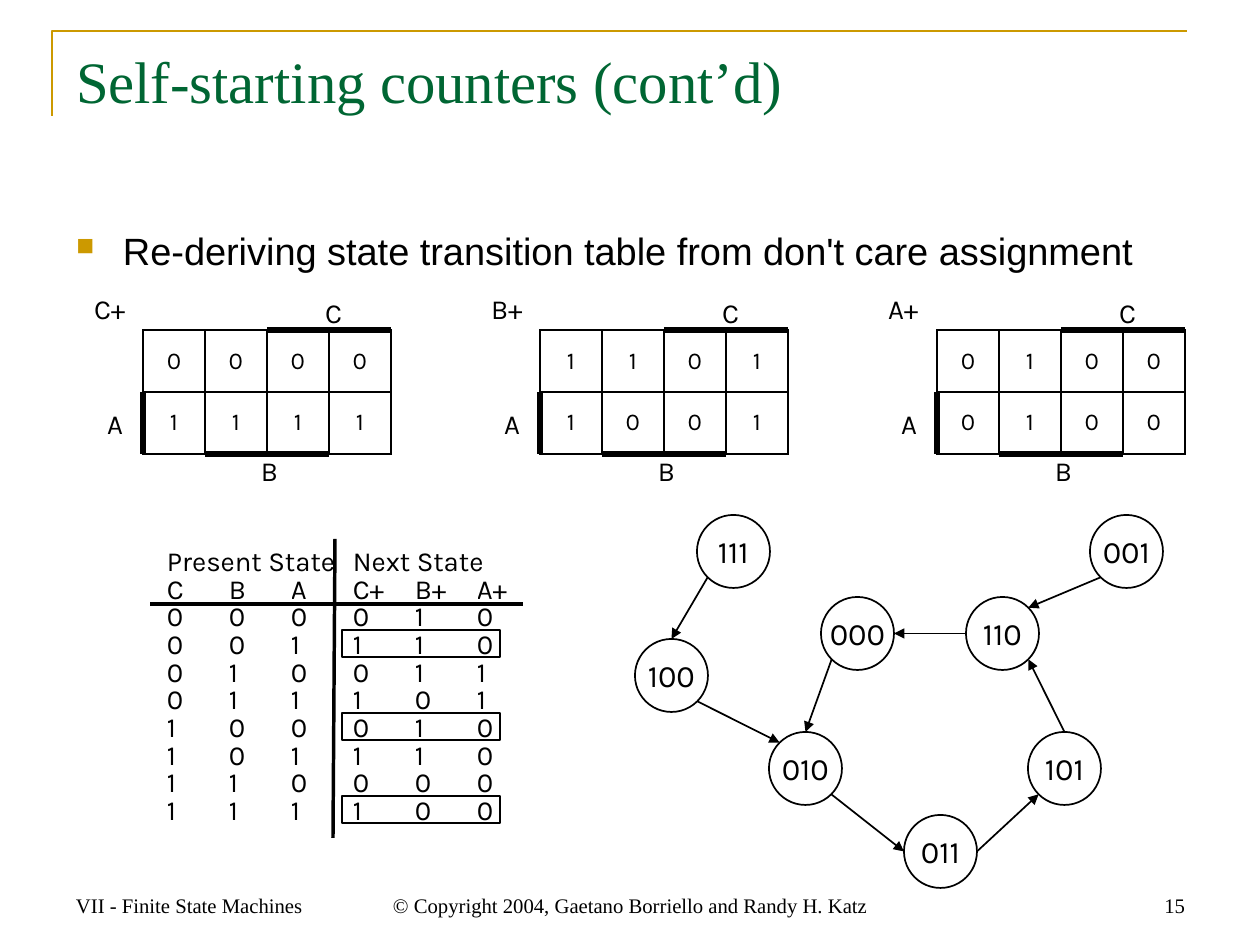
import math

import lxml.etree
import pptx
import pptx.dml.color
import pptx.enum.shapes
import pptx.enum.text
import pptx.oxml.ns
import pptx.util

PX = 7356
BLACK, GOLD, GREEN = "000000", "CC9900", "006633"
SERIF, SANS, BODY = "Times New Roman", "Karla", "Arial"
ALIGN = pptx.enum.text.PP_ALIGN
ANCHOR = pptx.enum.text.MSO_ANCHOR
SHAPE = pptx.enum.shapes.MSO_SHAPE

CELL = 62
MAP_TOP = 330
MAPS = [
    (143, "C+", ["0000", "1111"]),
    (540, "B+", ["1101", "1001"]),
    (937, "A+", ["0100", "0100"]),
]
HEADINGS = [
    ["Present State", "", "", "Next State", "", ""],
    ["C", "B", "A", "C+", "B+", "A+"],
]
TRANSITIONS = [
    "000010", "001110", "010011", "011101",
    "100010", "101110", "110000", "111100",
]
DIAMETER = 73
STATES = {
    "010": (769, 732), "000": (821, 597), "110": (966, 597), "101": (1028, 732),
    "011": (904, 815), "001": (1090, 515), "111": (697, 515), "100": (635, 639),
}
TOP, TOP_LEFT, LEFT, BOTTOM_LEFT, BOTTOM, BOTTOM_RIGHT, RIGHT, TOP_RIGHT = range(8)
ARROWS = [
    ("000", BOTTOM_LEFT, "010", TOP),
    ("010", BOTTOM_RIGHT, "011", LEFT),
    ("011", RIGHT, "101", BOTTOM_LEFT),
    ("101", TOP, "110", BOTTOM_RIGHT),
    ("110", LEFT, "000", RIGHT),
    ("001", BOTTOM_LEFT, "110", TOP_RIGHT),
    ("111", BOTTOM_LEFT, "100", TOP),
    ("100", BOTTOM_RIGHT, "010", TOP_LEFT),
]


def px(*lengths):
    return [pptx.util.Emu(round(length * PX)) for length in lengths]


def color(value):
    return pptx.dml.color.RGBColor.from_string(value)


def add_xml(parent, tag, **attributes):
    return lxml.etree.SubElement(parent, pptx.oxml.ns.qn(tag), attributes)


def style_line(line, width, value=BLACK):
    line.color.rgb = color(value)
    line.width = pptx.util.Pt(width)


def write(frame, text, size, font, value=BLACK, align=ALIGN.LEFT, spacing=None):
    frame.text = text
    para = frame.paragraphs[0]
    para.alignment = align
    if spacing:
        para.line_spacing = pptx.util.Pt(spacing)
    for span in para.runs:
        span.font.size = pptx.util.Pt(size)
        span.font.name = font
        span.font.color.rgb = color(value)
    return para


def add_text(page, place, text, size, font, value=BLACK, align=ALIGN.LEFT,
             anchor=ANCHOR.TOP, margins=(12, 6), spacing=None):
    frame = page.shapes.add_textbox(*px(*place)).text_frame
    frame.word_wrap = True
    frame.vertical_anchor = anchor
    frame.margin_left, frame.margin_top = px(*margins)
    frame.margin_right, frame.margin_bottom = px(*margins)
    return write(frame, text, size, font, value, align, spacing)


def add_outline(page, kind, place):
    shape = page.shapes.add_shape(kind, *px(*place))
    shape.shadow.inherit = False
    shape.fill.background()
    style_line(shape.line, 1)
    return shape


def add_line(page, start, end, width):
    line = page.shapes.add_connector(
        pptx.enum.shapes.MSO_CONNECTOR.STRAIGHT, *px(*start, *end))
    style_line(line.line, width)
    add_xml(line._element.spPr, "a:effectLst")
    return line


def add_grid(page, left, top, rows, columns, height):
    frame = page.shapes.add_table(
        rows, columns, *px(left, top, columns * CELL, rows * height))
    grid = frame.table
    grid.first_row = grid.horz_banding = False
    for cell in grid.iter_cells():
        cell.fill.background()
        cell.margin_left = cell.margin_right = 0
        cell.margin_top = cell.margin_bottom = 0
    return grid


def add_borders(cell):
    properties = cell._tc.get_or_add_tcPr()
    for index, side in enumerate(("a:lnL", "a:lnR", "a:lnT", "a:lnB")):
        border = add_xml(properties, side, w=str(pptx.util.Pt(1)))
        add_xml(add_xml(border, "a:solidFill"), "a:srgbClr", val=BLACK)
        properties.insert(index, border)


def add_frame(page):
    builder = page.shapes.build_freeform(52, 116, scale=PX)
    builder.add_line_segments([(52, 31), (1187, 31)], close=False)
    corner = builder.convert_to_shape()
    corner.shadow.inherit = False
    corner.fill.background()
    style_line(corner.line, 1.5, GOLD)


def add_bullet(page):
    para = add_text(page, (64, 221, 1134, 75),
                    "Re-deriving state transition table from don't care assignment",
                    22, BODY)
    para.space_before = pptx.util.Pt(5.5)
    properties = para._p.get_or_add_pPr()
    indent = px(47)[0]
    properties.set("marL", str(indent))
    properties.set("indent", str(-indent))
    add_xml(add_xml(properties, "a:buClr"), "a:srgbClr", val=GOLD)
    add_xml(properties, "a:buSzPct", val="65000")
    add_xml(properties, "a:buChar", char="■")


def add_map(page, left, name, rows):
    grid = add_grid(page, left, MAP_TOP, 2, 4, CELL)
    for row, values in enumerate(rows):
        for column, value in enumerate(values):
            cell = grid.cell(row, column)
            cell.vertical_anchor = ANCHOR.MIDDLE
            write(cell.text_frame, value, 14, SANS, align=ALIGN.CENTER)
            add_borders(cell)
    middle, bottom = MAP_TOP + CELL, MAP_TOP + 2 * CELL
    add_line(page, (left + 2 * CELL, MAP_TOP), (left + 4 * CELL, MAP_TOP), 3)
    add_line(page, (left + CELL, bottom), (left + 3 * CELL, bottom), 3)
    add_line(page, (left, middle), (left, bottom), 3)
    for text, across, top in (("A", -38, 408), ("B", 116, 455), ("C", 180, 297)):
        add_text(page, (left + across, top, 80, 45), text, 16, SANS,
                 margins=(2, 4), spacing=16)
    add_text(page, (left - 61, 286, 58, 46), name, 16, SANS)


def add_transitions(page):
    grid = add_grid(page, 167, 551, 10, 6, 27)
    for row, values in enumerate([*HEADINGS, *TRANSITIONS]):
        for column, value in enumerate(values):
            write(grid.cell(row, column).text_frame, value, 16, SANS, spacing=16)
    for column in (0, 3):
        grid.cell(0, column).merge(grid.cell(0, column + 2))
    add_line(page, (150, 604), (523, 604), 2)
    add_line(page, (335, 539), (333, 838), 2)
    for index in range(3):
        add_outline(page, SHAPE.RECTANGLE, (342, 630 + 83 * index, 158, 27))


def site_point(state, site):
    left, top = STATES[state]
    radius, angle = DIAMETER / 2, math.radians(45 * site)
    return (left + radius - radius * math.sin(angle),
            top + radius - radius * math.cos(angle))


def add_diagram(page):
    circles = {}
    for state, corner in STATES.items():
        circle = add_outline(page, SHAPE.OVAL, (*corner, DIAMETER, DIAMETER))
        frame = circle.text_frame
        frame.word_wrap = False
        frame.vertical_anchor = ANCHOR.MIDDLE
        write(frame, state, 18, SANS, align=ALIGN.CENTER)
        circles[state] = circle
    for source, leave, target, arrive in ARROWS:
        arrow = add_line(page, site_point(source, leave), site_point(target, arrive), 1)
        add_xml(arrow.line._get_or_add_ln(), "a:tailEnd", type="triangle")
        joints = arrow._element.nvCxnSpPr.cNvCxnSpPr
        add_xml(joints, "a:stCxn", id=str(circles[source].shape_id), idx=str(leave))
        add_xml(joints, "a:endCxn", id=str(circles[target].shape_id), idx=str(arrive))


def main():
    deck = pptx.Presentation()
    deck.slide_width, deck.slide_height = px(1260, 945)
    page = deck.slides.add_slide(deck.slide_layouts[6])
    add_frame(page)
    add_text(page, (64, 39, 1134, 157), "Self-starting counters (cont’d)", 34, SERIF, GREEN)
    add_bullet(page)
    for left, name, rows in MAPS:
        add_map(page, left, name, rows)
    add_transitions(page)
    add_diagram(page)
    for left, width, text, align in (
        (64, 295, "VII - Finite State Machines", ALIGN.LEFT),
        (368, 525, "© Copyright 2004, Gaetano Borriello and Randy H. Katz", ALIGN.CENTER),
        (904, 293, "15", ALIGN.RIGHT),
    ):
        add_text(page, (left, 860, width, 64), text, 12, SERIF,
                 align=align, anchor=ANCHOR.BOTTOM)
    deck.save("out.pptx")


if __name__ == "__main__":
    main()
